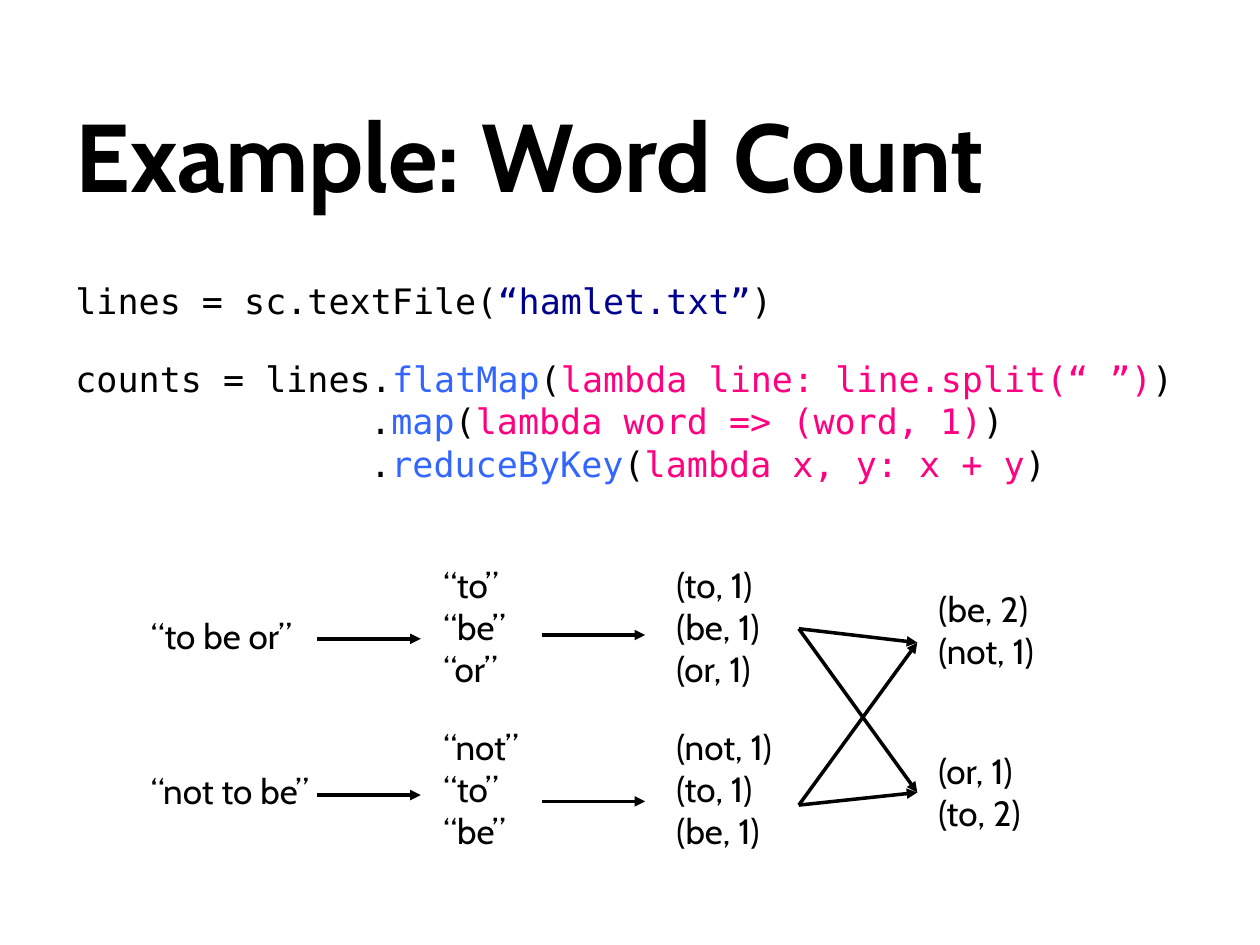
import pptx
import pptx.util
import pptx.dml.color
import pptx.enum.shapes
import pptx.enum.text
import pptx.oxml.ns
import lxml.etree

Inches = pptx.util.Inches
Pt = pptx.util.Pt
SANS = "Cabin"
MONO = "DejaVu Sans Mono"
COLORS = {"text": "000000", "string": "000090", "method": "3366FF", "lambda": "FF0080"}

CODE = [
    [[("lines = sc.textFile(", "text"), ("“hamlet.txt”", "string"), (")", "text")]],
    [
        [("counts = lines.", "text"), ("flatMap", "method"), ("(", "text"),
         ("lambda line: line.split(“ ”)", "lambda"), (")", "text")],
        [(".", "text"), ("map", "method"), ("(", "text"),
         ("lambda word => (word, 1)", "lambda"), (")", "text")],
        [(".", "text"), ("reduceByKey", "method"), ("(", "text"),
         ("lambda x, y: x + y", "lambda"), (")", "text")],
    ],
]

STAGES = [
    (0, [(0.41, 1.4, 0.5, "“to be or”"), (1.64, 1.54, 0.5, "“not to be”")]),
    (2.32, [(0, 0.76, 1.27, "“to”\v“be”\v“or”"), (1.29, 0.86, 1.27, "“not”\v“to”\v“be”")]),
    (4.17, [(0, 0.96, 1.27, "(to, 1)\v(be, 1)\v(or, 1)"),
            (1.29, 1.07, 1.27, "(not, 1)\v(to, 1)\v(be, 1)")]),
    (6.25, [(0.19, 1.07, 0.88, "(be, 2)\v(not, 1)"), (1.48, 0.93, 0.88, "(or, 1)\n(to, 2)")]),
]
STEPS = [(1.42, 2.24, (0.65, 1.89)), (3.2, 4.02, (0.62, 1.94))]
SHUFFLE = (5.24, 6.18, (0.57, 1.97), (0.68, 1.87))


def style(run, size, face, color="text", bold=False):
    font = run.font
    font.size = Pt(size)
    font.name = face
    font.bold = bold
    font.color.rgb = pptx.dml.color.RGBColor.from_string(COLORS[color])


def add_title(slide, left, top, width, height):
    title = slide.shapes.title
    title.left, title.top = Inches(left), Inches(top)
    title.width, title.height = Inches(width), Inches(height)
    frame = title.text_frame
    frame.text = "Example: Word Count"
    frame.vertical_anchor = pptx.enum.text.MSO_ANCHOR.MIDDLE
    para = frame.paragraphs[0]
    para.alignment = pptx.enum.text.PP_ALIGN.LEFT
    style(para.runs[0], 55, SANS, bold=True)


def add_code(slide, left, top, width, height):
    box = slide.shapes.add_textbox(Inches(left), Inches(top), Inches(width), Inches(height))
    frame = box.text_frame
    frame.word_wrap = True
    for index, block in enumerate(CODE):
        para = frame.add_paragraph() if index else frame.paragraphs[0]
        para.space_before = Pt(20 if index else 0)
        para.line_spacing = Pt(24.2)
        hang = Inches(2.34)
        props = para._p.get_or_add_pPr()
        props.set("marL", str(hang))
        props.set("indent", str(-hang))
        for number, line in enumerate(block):
            if number:
                para.add_line_break()
            for text, color in line:
                run = para.add_run()
                run.text = text
                style(run, 20, MONO, color)


def add_label(slide, left, top, width, height, text):
    box = slide.shapes.add_textbox(Inches(left), Inches(top), Inches(width), Inches(height))
    frame = box.text_frame
    frame.word_wrap = False
    frame.text = text
    for para in frame.paragraphs:
        for run in para.runs:
            style(run, 20, SANS)


def add_arrow(slide, x1, y1, x2, y2):
    arrow = slide.shapes.add_connector(
        pptx.enum.shapes.MSO_CONNECTOR.STRAIGHT,
        Inches(x1), Inches(y1), Inches(x2), Inches(y2))
    arrow.line.width = Pt(2)
    arrow.line.color.rgb = pptx.dml.color.RGBColor.from_string(COLORS["text"])
    qn = pptx.oxml.ns.qn
    lxml.etree.SubElement(arrow.line._get_or_add_ln(), qn("a:tailEnd"), type="triangle")
    lxml.etree.SubElement(arrow._element.spPr, qn("a:effectLst"))


def add_flow(slide, left, top):
    for x, labels in STAGES:
        for y, width, height, text in labels:
            add_label(slide, left + x, top + y, width, height, text)
    for start, end, rows in STEPS:
        for y in rows:
            add_arrow(slide, left + start, top + y, left + end, top + y)
    start, end, sources, targets = SHUFFLE
    for source in sources:
        for target in targets:
            add_arrow(slide, left + start, top + source, left + end, top + target)


deck = pptx.Presentation()
deck.slide_width, deck.slide_height = Inches(10), Inches(7.5)
slide = deck.slides.add_slide(deck.slide_layouts[5])
add_title(slide, 0.5, 0.6, 9, 1.25)
add_code(slide, 0.5, 2.17, 9, 2.83)
add_flow(slide, 1.1, 4.42)
deck.save("out.pptx")
